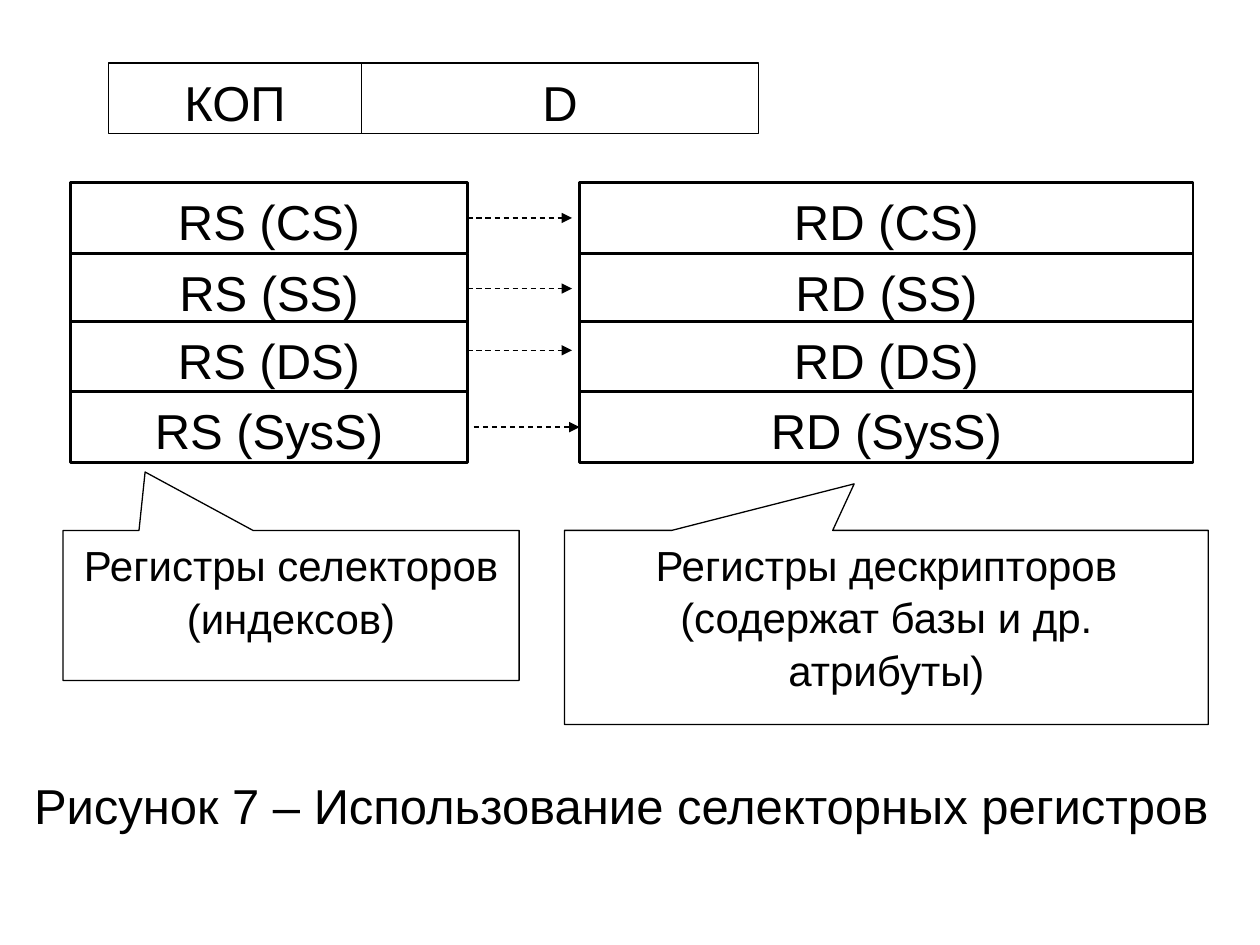
from dataclasses import dataclass

from lxml.etree import SubElement
from pptx import Presentation
from pptx.dml.color import RGBColor
from pptx.enum.dml import MSO_LINE
from pptx.enum.shapes import MSO_CONNECTOR, MSO_SHAPE
from pptx.enum.text import MSO_ANCHOR, MSO_AUTO_SIZE, PP_ALIGN
from pptx.oxml.ns import qn
from pptx.util import Inches, Pt


@dataclass(frozen=True)
class Theme:
    font: str = "Arial"
    ink: RGBColor = RGBColor(0, 0, 0)
    paper: RGBColor = RGBColor(255, 255, 255)
    label_size: int = 28
    note_size: int = 24
    thin: float = 0.75
    thick: float = 1.5


THEME = Theme()
SLIDE_COLUMNS, SLIDE_ROWS = 100, 75
CELL = Inches(0.1)
BOX_ROWS = 5.6
SEGMENTS = ("CS", "SS", "DS", "SysS")
SEGMENT_TOPS = (14.5, 20.1, 25.5, 31.1)
ARROW_SHIFTS = (0, 0, -0.5, 0)


def grid(*cells):
    return [round(cell * CELL) for cell in cells]


def apply_format(target, values):
    for name, value in values.items():
        setattr(target, name, value)


def write_text(shape, text, size, alignment):
    frame = shape.text_frame
    apply_format(frame, {
        "word_wrap": True,
        "auto_size": MSO_AUTO_SIZE.NONE,
        "vertical_anchor": MSO_ANCHOR.TOP,
        "margin_left": Inches(0.1),
        "margin_right": Inches(0.1),
        "margin_top": Inches(0.05),
        "margin_bottom": Inches(0.05),
    })
    frame.text = text
    paragraph = frame.paragraphs[0]
    apply_format(paragraph, {
        "alignment": alignment,
        "line_spacing": 1.05,
        "space_before": Pt(0),
    })
    apply_format(paragraph.font, {"name": THEME.font, "size": Pt(size)})
    paragraph.font.color.rgb = THEME.ink
    return paragraph


def add_box(slide, place, text, size=THEME.label_size, line_width=THEME.thin,
            preset=MSO_SHAPE.RECTANGLE):
    shape = slide.shapes.add_shape(preset, *grid(*place))
    shape.shadow.inherit = False
    shape.fill.solid()
    shape.fill.fore_color.rgb = THEME.paper
    shape.line.color.rgb = THEME.ink
    shape.line.width = Pt(line_width)
    write_text(shape, text, size, PP_ALIGN.CENTER)
    return shape


def add_callout(slide, place, text, pointer):
    callout = add_box(slide, place, text, THEME.note_size,
                      preset=MSO_SHAPE.RECTANGULAR_CALLOUT)
    for index, share in enumerate(pointer):
        callout.adjustments[index] = share


def add_registers(slide, prefix, left, width):
    return [
        add_box(slide, (left, top, width, BOX_ROWS), f"{prefix} ({segment})",
                line_width=THEME.thick)
        for segment, top in zip(SEGMENTS, SEGMENT_TOPS)
    ]


def add_arrow(slide, start, end, row):
    arrow = slide.shapes.add_connector(
        MSO_CONNECTOR.STRAIGHT, *grid(start, row, end, row))
    apply_format(arrow.line, {
        "width": Pt(THEME.thin), "dash_style": MSO_LINE.DASH})
    arrow.line.color.rgb = THEME.ink
    SubElement(arrow.line._get_or_add_ln(), qn("a:tailEnd"), type="triangle")
    SubElement(arrow._element.spPr, qn("a:effectLst"))
    return arrow


def link_registers(slide, selectors, descriptors):
    last = len(SEGMENTS) - 1
    for index, (top, shift) in enumerate(zip(SEGMENT_TOPS, ARROW_SHIFTS)):
        start, end = (37.6, 46) if index == last else (37.1, 45.4)
        arrow = add_arrow(slide, start, end, top + BOX_ROWS / 2 + shift)
        if index == last:
            arrow.end_connect(descriptors[index], 1)
        elif not shift:
            arrow.begin_connect(selectors[index], 3)


def add_caption(slide, place, text):
    title, caption = slide.placeholders
    title._element.getparent().remove(title._element)
    apply_format(caption, dict(zip(("left", "top", "width", "height"), grid(*place))))
    paragraph = write_text(caption, text, THEME.label_size, PP_ALIGN.LEFT)
    properties = paragraph._p.get_or_add_pPr()
    apply_format(properties, {"marL": Inches(0.38), "indent": -Inches(0.38)}) 
    for name in ("marL", "indent"):
        properties.set(name, str(Inches(0.38) * (1 if name == "marL" else -1)))
    SubElement(properties, qn("a:buNone"))


def main():
    presentation = Presentation()
    apply_format(presentation, {
        "slide_width": SLIDE_COLUMNS * CELL, "slide_height": SLIDE_ROWS * CELL})
    slide = presentation.slides.add_slide(presentation.slide_layouts[1])
    add_caption(slide, (1.7, 60.8, 96.7, 6.2),
                "Рисунок 7 – Использование селекторных регистров")
    add_box(slide, (8.6, 5, 20.1, BOX_ROWS), "КОП")
    add_box(slide, (28.7, 5, 31.5, BOX_ROWS), "D")
    descriptors = add_registers(slide, "RD", 46, 48.7)
    selectors = add_registers(slide, "RS", 5.6, 31.5)
    link_registers(slide, selectors, descriptors)
    add_callout(slide, (5, 42.1, 36.2, 11.9),
                "Регистры селекторов (индексов)", (-0.32, -0.89))
    add_callout(slide, (44.8, 42.1, 51.1, 15.4),
                "Регистры дескрипторов (содержат базы и др. атрибуты)",
                (-0.05, -0.74))
    presentation.save("out.pptx")


if __name__ == "__main__":
    main()
